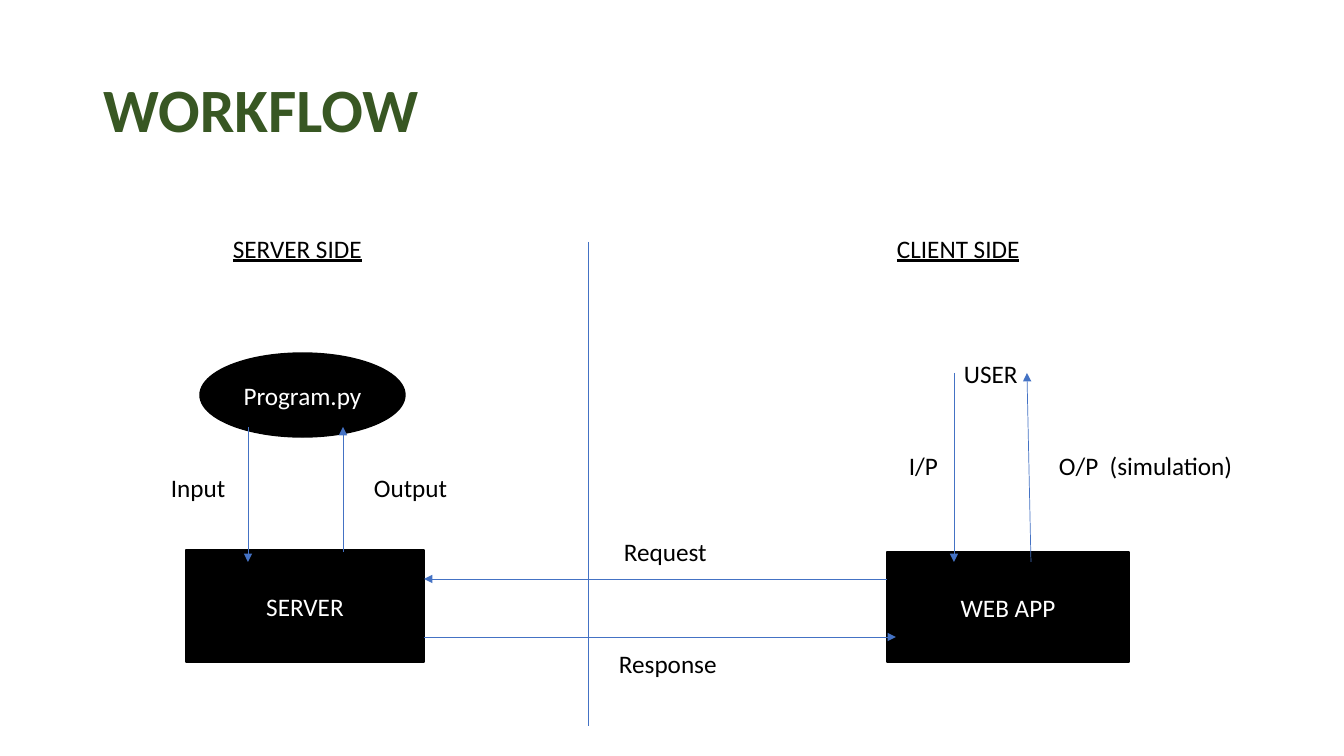
from lxml import etree
from pptx import Presentation
from pptx import util as u
from pptx.dml.color import RGBColor
from pptx.enum import shapes, text
from pptx.oxml.ns import qn

PIXEL = 914400 / 100.8
BLACK = RGBColor(0x00, 0x00, 0x00)
WHITE = RGBColor(0xFF, 0xFF, 0xFF)
GREEN = RGBColor(0x38, 0x57, 0x23)
BLUE = RGBColor(0x44, 0x72, 0xC4)
FONT = "Calibri"


def emu(*pixels):
    return [u.Emu(round(pixel * PIXEL)) for pixel in pixels]


def style(paragraph, size, color):
    paragraph.font.name = FONT
    paragraph.font.size = u.Pt(size)
    paragraph.font.color.rgb = color


presentation = Presentation()
presentation.slide_width, presentation.slide_height = emu(1344, 756)
slide = presentation.slides.add_slide(presentation.slide_layouts[5])

# Title
title = slide.shapes.title
title.left, title.top, title.width, title.height = emu(93, 40, 1159, 146)
title.text_frame.text = "WORKFLOW"
title.text_frame.vertical_anchor = text.MSO_ANCHOR.MIDDLE
heading = title.text_frame.paragraphs[0]
heading.alignment = text.PP_ALIGN.LEFT
heading.line_spacing = 0.9
heading.font.bold = True
style(heading, 44, GREEN)

# Program, server and web app
RECTANGLE, OVAL = shapes.MSO_SHAPE.RECTANGLE, shapes.MSO_SHAPE.OVAL
for kind, name, *box in [
    (RECTANGLE, "SERVER", 186, 550, 238, 112),
    (RECTANGLE, "WEB APP", 887, 552, 242, 110),
    (OVAL, "Program.py", 200, 353, 205, 84),
]:
    shape = slide.shapes.add_shape(kind, *emu(*box))
    shape.shadow.inherit = False
    shape.fill.solid()
    shape.fill.fore_color.rgb = BLACK
    shape.line.color.rgb = BLACK
    shape.line.width = u.Pt(1)
    shape.text_frame.text = name
    shape.text_frame.vertical_anchor = text.MSO_ANCHOR.MIDDLE
    paragraph = shape.text_frame.paragraphs[0]
    paragraph.alignment = text.PP_ALIGN.CENTER
    style(paragraph, 18, WHITE)

# Divider and flow arrows
for has_arrow, *ends in [
    (False, 588, 242, 588, 726),  # divider
    (True, 887, 579, 424, 579),   # request
    (True, 424, 637, 896, 637),   # response
    (True, 248, 427, 248, 562),   # program input
    (True, 343, 552, 343, 427),   # program output
    (True, 954, 373, 954, 562),   # user input
    (True, 1031, 562, 1027, 373), # user output
]:
    connector = slide.shapes.add_connector(shapes.MSO_CONNECTOR.STRAIGHT, *emu(*ends))
    connector.line.color.rgb = BLUE
    connector.line.width = u.Pt(0.5)
    if has_arrow:
        outline = connector.line._get_or_add_ln()
        etree.SubElement(outline, qn("a:tailEnd"), type="triangle")
    etree.SubElement(connector._element.spPr, qn("a:effectLst"))

# Side headings and flow labels
for label, underlined, left, top, width in [
    ("SERVER SIDE", True, 223, 228, 150),
    ("CLIENT SIDE", True, 887, 228, 144),
    ("USER", False, 954, 353, 75),
    ("I/P", False, 899, 445, 49),
    ("O/P  (simulation)", False, 1049, 445, 196),
    ("Request", False, 614, 531, 104),
    ("Response", False, 609, 643, 119),
    ("Input", False, 161, 467, 76),
    ("Output", False, 364, 467, 95),
]:
    box = slide.shapes.add_textbox(*emu(left, top, width, 40))
    box.text_frame.word_wrap = False
    box.text_frame.auto_size = text.MSO_AUTO_SIZE.SHAPE_TO_FIT_TEXT
    box.text_frame.text = label
    paragraph = box.text_frame.paragraphs[0]
    style(paragraph, 18, BLACK)
    if underlined:
        paragraph.font.underline = True

presentation.save("out.pptx")
